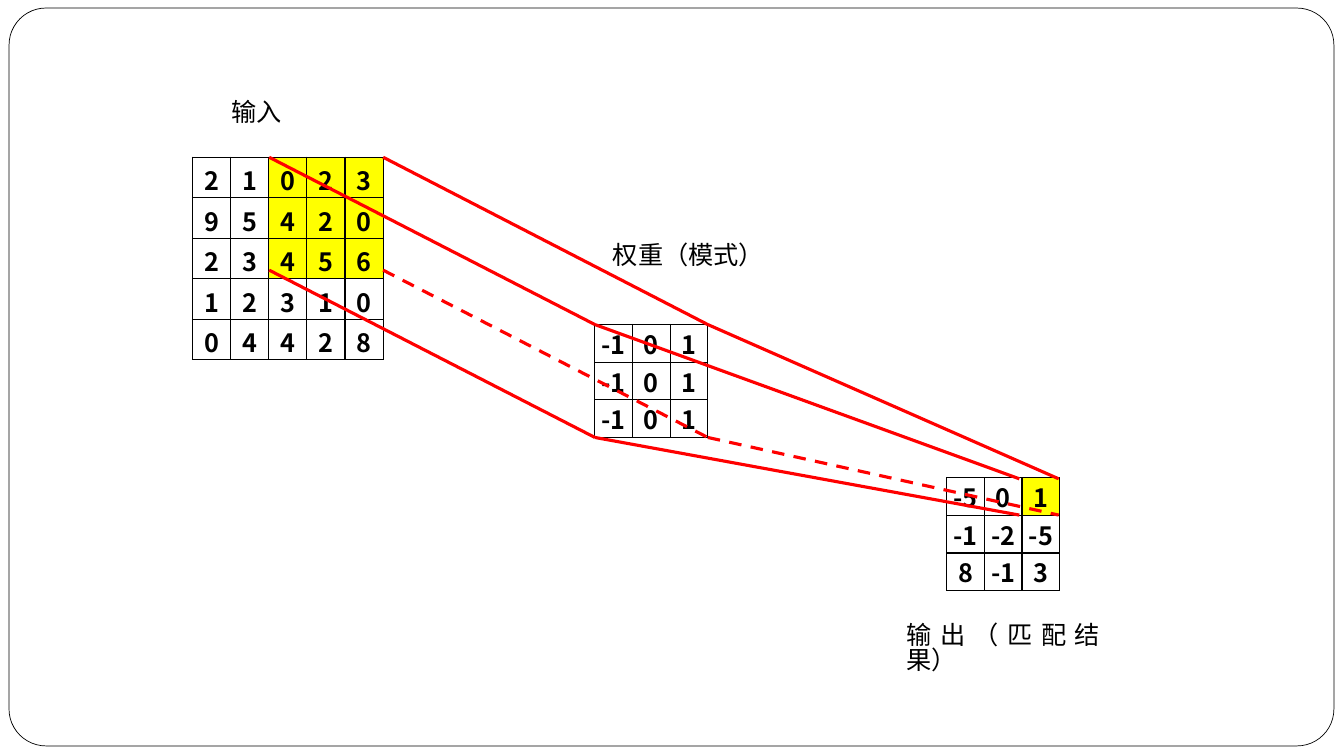
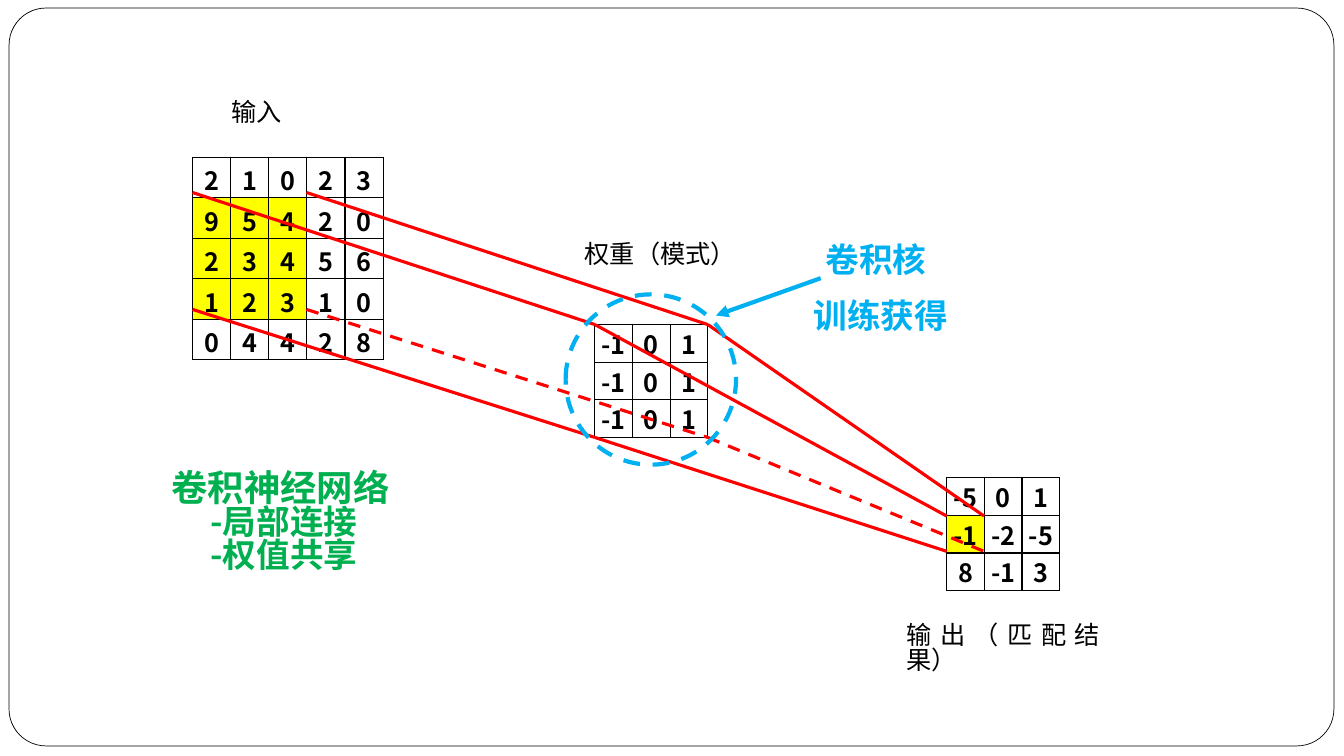
import itertools
from dataclasses import dataclass
from typing import Any

import pptx
import pptx.dml.color
import pptx.enum.dml
import pptx.enum.shapes
import pptx.enum.text
import pptx.oxml
import pptx.oxml.ns
import pptx.util
from lxml import etree

PX = 9144
SHAPE = pptx.enum.shapes.MSO_SHAPE
ALIGN = pptx.enum.text.PP_ALIGN


@dataclass(frozen=True)
class Theme:
    font: str = "Noto Sans CJK SC"
    black: str = "000000"
    white: str = "FFFFFF"
    highlight: str = "FFFF00"
    ray: str = "FF0000"
    callout: str = "00B0F0"
    summary: str = "00B050"
    body: int = 18
    strong: int = 24
    heading: int = 26
    line_spacing: float = 0.82
    frame_line: float = 0.5
    ray_line: float = 2.25
    callout_line: float = 3


THEME = Theme()


@dataclass(frozen=True)
class Box:
    x: int
    y: int
    w: int
    h: int

    def emu(self) -> list[int]:
        return [v * PX for v in (self.x, self.y, self.w, self.h)]

    def corners(self) -> list[tuple[int, int]]:
        return [(x, y) for y in (self.y, self.y + self.h) for x in (self.x, self.x + self.w)]


@dataclass(frozen=True)
class Para:
    text: str
    size: int = THEME.body
    color: str = THEME.black
    bold: bool = False
    align: Any = ALIGN.LEFT
    indent: int = 0


@dataclass(frozen=True)
class Label:
    box: Box
    paras: tuple[Para, ...]
    fill: str = ""


@dataclass(frozen=True)
class Matrix:
    box: Box
    rows: tuple[str, ...]
    top_inset: int = 0


@dataclass(frozen=True)
class Window:
    row: int
    col: int
    size: int

    def covers(self, row: int, col: int) -> bool:
        return (self.row <= row < self.row + self.size
                and self.col <= col < self.col + self.size)


@dataclass(frozen=True)
class Step:
    patch: Window
    result: Window
    patch_box: Box
    result_box: Box
    weight_at: tuple[int, int]


INPUT = Matrix(Box(191, 156, 189, 187),
               ("2 1 0 2 3", "9 5 4 2 0", "2 3 4 5 6", "1 2 3 1 0", "0 4 4 2 8"), 4)
KERNEL = Matrix(Box(590, 322, 112, 112), ("-1 0 1",) * 3)
OUTPUT = Matrix(Box(939, 474, 112, 112), ("-5 0 1", "-1 -2 -5", "8 -1 3"))

STEPS = (
    Step(Window(0, 2, 3), Window(0, 2, 1),
         Box(267, 156, 113, 112), Box(1011, 475, 39, 36), (598, 238)),
    Step(Window(1, 0, 3), Window(1, 0, 1),
         Box(191, 191, 113, 116), Box(939, 512, 37, 35), (570, 237)),
)

SHARED_LABELS = (
    Label(Box(889, 615, 212, 48), (Para("输出（匹配结果）", align=ALIGN.JUSTIFY),), THEME.white),
    Label(Box(220, 96, 83, 46), (Para("输入", align=ALIGN.JUSTIFY),), THEME.white),
)


def callout(text: str) -> Para:
    return Para(text, THEME.strong, THEME.callout, True)


def summary(text: str, size: int = THEME.strong, indent: int = 39) -> Para:
    return Para(text, size, THEME.summary, True, indent=indent)


CALLOUT_LABELS = (
    Label(Box(809, 239, 130, 44), (callout("卷积核"),)),
    Label(Box(797, 295, 162, 48), (callout("训练获得"),)),
    Label(Box(160, 464, 246, 152),
          (summary("卷积神经网络", THEME.heading, 0), summary("-局部连接"), summary("-权值共享"))),
)


def rgb(color: str) -> pptx.dml.color.RGBColor:
    return pptx.dml.color.RGBColor.from_string(color)


def paint(target: Any, color: str) -> None:
    if color:
        target.fill.solid()
        target.fill.fore_color.rgb = rgb(color)
    else:
        target.fill.background()


def stroke(line: Any, color: str, width: float, dashed: bool = False) -> None:
    line.color.rgb = rgb(color)
    line.width = pptx.util.Pt(width)
    if dashed:
        line.dash_style = pptx.enum.dml.MSO_LINE.DASH


def write(p: Any, para: Para) -> None:
    p.text = para.text
    p.alignment = para.align
    pPr = p._p.get_or_add_pPr()
    if para.indent:
        pPr.set("marL", str(para.indent * PX))
        pPr.set("indent", "0")
    p.font.name = THEME.font
    p.font.size = pptx.util.Pt(para.size)
    p.font.bold = para.bold
    p.font.color.rgb = rgb(para.color)
    ea = etree.SubElement(pPr.get_or_add_defRPr(), pptx.oxml.ns.qn("a:ea"))
    ea.set("typeface", THEME.font)


def add_label(slide: Any, label: Label) -> None:
    s = slide.shapes.add_textbox(*label.box.emu())
    paint(s, label.fill)
    tf = s.text_frame
    tf.word_wrap = True
    for i, para in enumerate(label.paras):
        p = tf.add_paragraph() if i else tf.paragraphs[0]
        p.line_spacing = THEME.line_spacing
        write(p, para)


def add_outline(slide: Any, kind: Any, box: Box, fill: str, color: str,
                width: float, dashed: bool = False) -> Any:
    s = slide.shapes.add_shape(kind, *box.emu())
    s.shadow.inherit = False
    paint(s, fill)
    stroke(s.line, color, width, dashed)
    return s


def add_line(slide: Any, start: tuple[int, int], end: tuple[int, int], color: str,
             width: float, dashed: bool = False, arrow: bool = False) -> None:
    s = slide.shapes.add_connector(pptx.enum.shapes.MSO_CONNECTOR.STRAIGHT,
                                   *(v * PX for v in start + end))
    stroke(s.line, color, width, dashed)
    if arrow:
        tail = etree.SubElement(s.line._get_or_add_ln(), pptx.oxml.ns.qn("a:tailEnd"))
        tail.set("type", "triangle")
    etree.SubElement(s._element.spPr, pptx.oxml.ns.qn("a:effectLst"))


def add_borders(cell: Any) -> None:
    tcPr = cell._tc.get_or_add_tcPr()
    for side in "LRTB":
        tcPr.append(pptx.oxml.parse_xml(
            f'<a:ln{side} {pptx.oxml.ns.nsdecls("a")} w="12700"><a:solidFill>'
            f'<a:srgbClr val="{THEME.black}"/></a:solidFill></a:ln{side}>'))


def add_matrix(slide: Any, matrix: Matrix, window: Window | None = None) -> None:
    n = len(matrix.rows)
    table = slide.shapes.add_table(n, n, *matrix.box.emu()).table
    table.first_row = table.horz_banding = False
    for i in range(n):
        table.columns[i].width = matrix.box.w * PX // n
        table.rows[i].height = matrix.box.h * PX // n
    for r, row in enumerate(matrix.rows):
        for c, value in enumerate(row.split()):
            cell = table.cell(r, c)
            cell.margin_left = cell.margin_right = 2 * PX
            cell.margin_top, cell.margin_bottom = matrix.top_inset * PX, 0
            cell.vertical_anchor = pptx.enum.text.MSO_ANCHOR.MIDDLE
            add_borders(cell)
            paint(cell, THEME.highlight if window and window.covers(r, c) else "")
            write(cell.text_frame.paragraphs[0], Para(value, bold=True, align=ALIGN.CENTER))


def add_rays(slide: Any, boxes: tuple[Box, ...]) -> None:
    for near, far in itertools.pairwise(boxes):
        for i, (start, end) in enumerate(zip(near.corners(), far.corners())):
            add_line(slide, start, end, THEME.ray, THEME.ray_line, dashed=i == 3)


def add_step(prs: Any, step: Step) -> Any:
    slide = prs.slides.add_slide(prs.slide_layouts[6])
    frame = add_outline(slide, SHAPE.ROUNDED_RECTANGLE, Box(9, 8, 1314, 732),
                        THEME.white, THEME.black, THEME.frame_line)
    frame.adjustments[0] = 0.05
    add_matrix(slide, INPUT, step.patch)
    add_matrix(slide, KERNEL)
    add_matrix(slide, OUTPUT, step.result)
    add_rays(slide, (step.patch_box, KERNEL.box, step.result_box))
    weight = Label(Box(*step.weight_at, 173, 44), (Para("权重（模式）"),))
    for label in (*SHARED_LABELS, weight):
        add_label(slide, label)
    return slide


def add_callouts(slide: Any) -> None:
    add_outline(slide, SHAPE.OVAL, Box(561, 292, 169, 169), "",
                THEME.callout, THEME.callout_line, dashed=True)
    add_line(slide, (814, 276), (710, 313), THEME.callout, THEME.callout_line, arrow=True)
    for label in CALLOUT_LABELS:
        add_label(slide, label)


def main() -> None:
    prs = pptx.Presentation()
    prs.slide_width, prs.slide_height = 1333 * PX, 750 * PX
    slides = [add_step(prs, step) for step in STEPS]
    add_callouts(slides[-1])
    prs.save("out.pptx")


if __name__ == "__main__":
    main()
